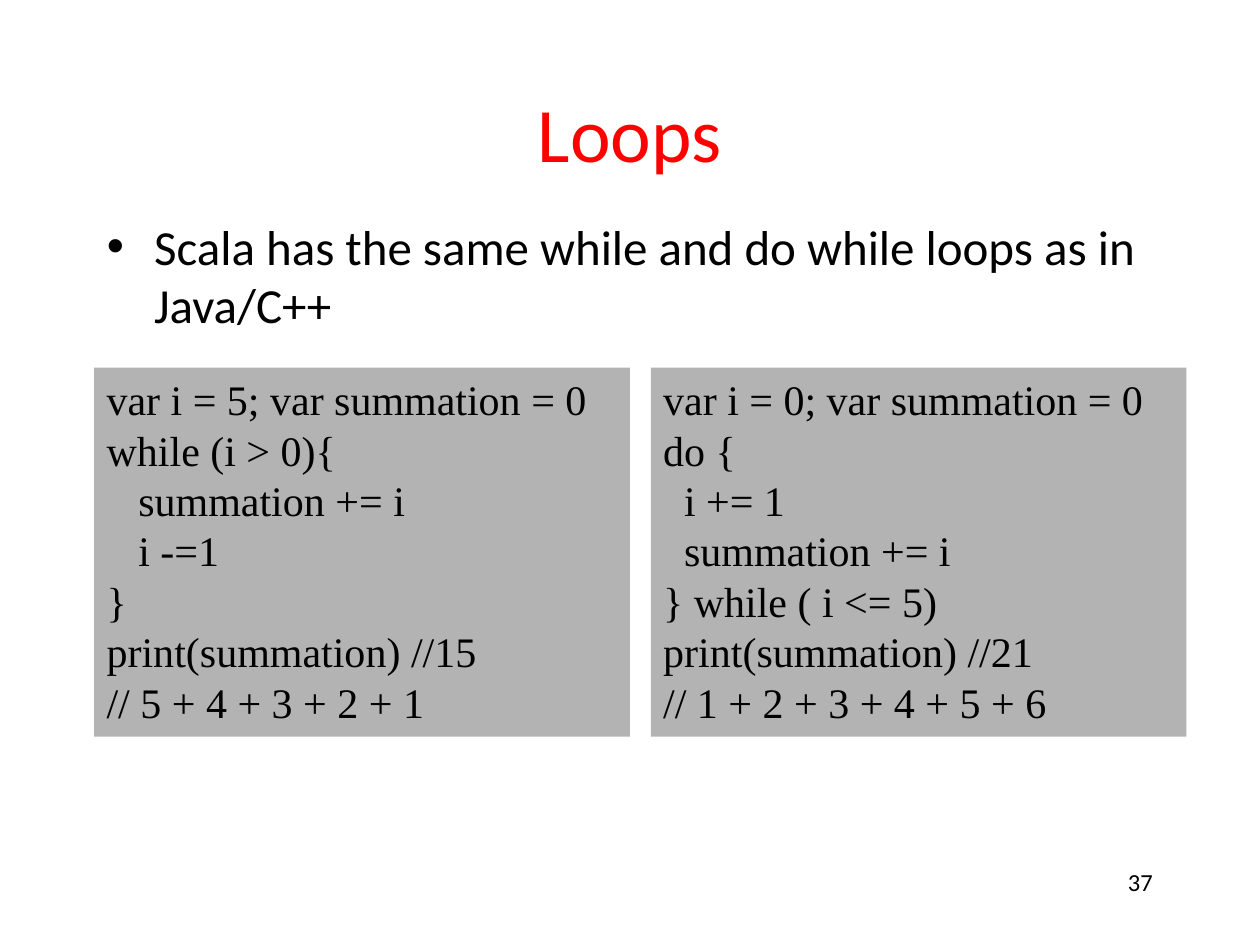
from dataclasses import dataclass

from pptx import Presentation
from pptx import util as u
from pptx.dml.color import RGBColor
from pptx.enum import shapes, text

COLORS = {"title": "FF0000", "ink": "000000", "panel": "B3B3B3"}
BODY_FONT, CODE_FONT = "Calibri", "Times New Roman"
LEFT = 1.9
PANEL_TOP, PANEL_WIDTH, PANEL_HEIGHT, PANEL_GAP = 7.41, 10.8, 7.44, 0.42


@dataclass
class CodeLine:
    words: str
    indent: float = 0  # cm


@dataclass
class CodePanel:
    lines: list[CodeLine]


def place(shape, left: float, top: float, width: float, height: float) -> None:
    shape.left, shape.top = u.Cm(left), u.Cm(top)
    shape.width, shape.height = u.Cm(width), u.Cm(height)


def write(paragraph, words: str, *, size: float, font: str = BODY_FONT,
          color: str = "ink", align=None, indent: float = 0, line_height=None) -> None:
    run = paragraph.add_run()
    run.text = words
    run.font.size, run.font.name = u.Pt(size), font
    run.font.color.rgb = RGBColor.from_string(COLORS[color])
    if align is not None:
        paragraph.alignment = align
    if indent:
        paragraph._p.get_or_add_pPr().set("marL", str(u.Cm(indent)))
    if line_height:
        paragraph.line_spacing = u.Pt(line_height)


def draw_panel(slide, panel: CodePanel, left: float) -> None:
    box = slide.shapes.add_shape(
        shapes.MSO_SHAPE.RECTANGLE, u.Cm(left), u.Cm(PANEL_TOP),
        u.Cm(PANEL_WIDTH), u.Cm(PANEL_HEIGHT))
    box.shadow.inherit = False
    box.fill.solid()
    box.fill.fore_color.rgb = RGBColor.from_string(COLORS["panel"])
    box.line.fill.background()
    frame = box.text_frame
    frame.word_wrap = True
    frame.vertical_anchor = text.MSO_ANCHOR.TOP
    for number, line in enumerate(panel.lines):
        paragraph = frame.add_paragraph() if number else frame.paragraphs[0]
        write(paragraph, line.words, size=24, font=CODE_FONT, indent=line.indent,
              align=text.PP_ALIGN.LEFT, line_height=28.8)


WHILE_LOOP = CodePanel([
    CodeLine("var i = 5; var summation = 0"),
    CodeLine("while (i > 0){"),
    CodeLine("summation += i", 0.64),
    CodeLine("i -=1", 0.64),
    CodeLine("}"),
    CodeLine("print(summation) //15"),
    CodeLine("// 5 + 4 + 3 + 2 + 1"),
])
DO_WHILE_LOOP = CodePanel([
    CodeLine("var i = 0; var summation = 0"),
    CodeLine("do {"),
    CodeLine("i += 1", 0.42),
    CodeLine("summation += i", 0.42),
    CodeLine("} while ( i <= 5)"),
    CodeLine("print(summation) //21"),
    CodeLine("// 1 + 2 + 3 + 4 + 5 + 6"),
])


def main() -> None:
    deck = Presentation()
    deck.slide_width, deck.slide_height = u.Cm(25.4), u.Cm(19.05)
    slide = deck.slides.add_slide(deck.slide_layouts[1])

    # Title and bullet
    heading, statement = slide.placeholders
    place(heading, LEFT, 1.48, 21.59, 2.33)
    heading.text_frame.vertical_anchor = text.MSO_ANCHOR.MIDDLE
    write(heading.text_frame.paragraphs[0], "Loops", size=44, color="title",
          align=text.PP_ALIGN.CENTER)
    place(statement, LEFT, 4.23, 21.59, 12.7)
    write(statement.text_frame.paragraphs[0],
          "Scala has the same while and do while loops as in Java/C++", size=28)
    for placeholder in (heading, statement):
        placeholder.text_frame.auto_size = text.MSO_AUTO_SIZE.NONE

    # Page number
    page = slide.shapes.add_textbox(u.Cm(18.2), u.Cm(17.36), u.Cm(5.29), u.Cm(1.27))
    page.text_frame.word_wrap = True
    write(page.text_frame.paragraphs[0], "37", size=14, align=text.PP_ALIGN.RIGHT)

    # Code panels, side by side
    for column, panel in enumerate((WHILE_LOOP, DO_WHILE_LOOP)):
        draw_panel(slide, panel, LEFT + column * (PANEL_WIDTH + PANEL_GAP))

    deck.save("out.pptx")


if __name__ == "__main__":
    main()
